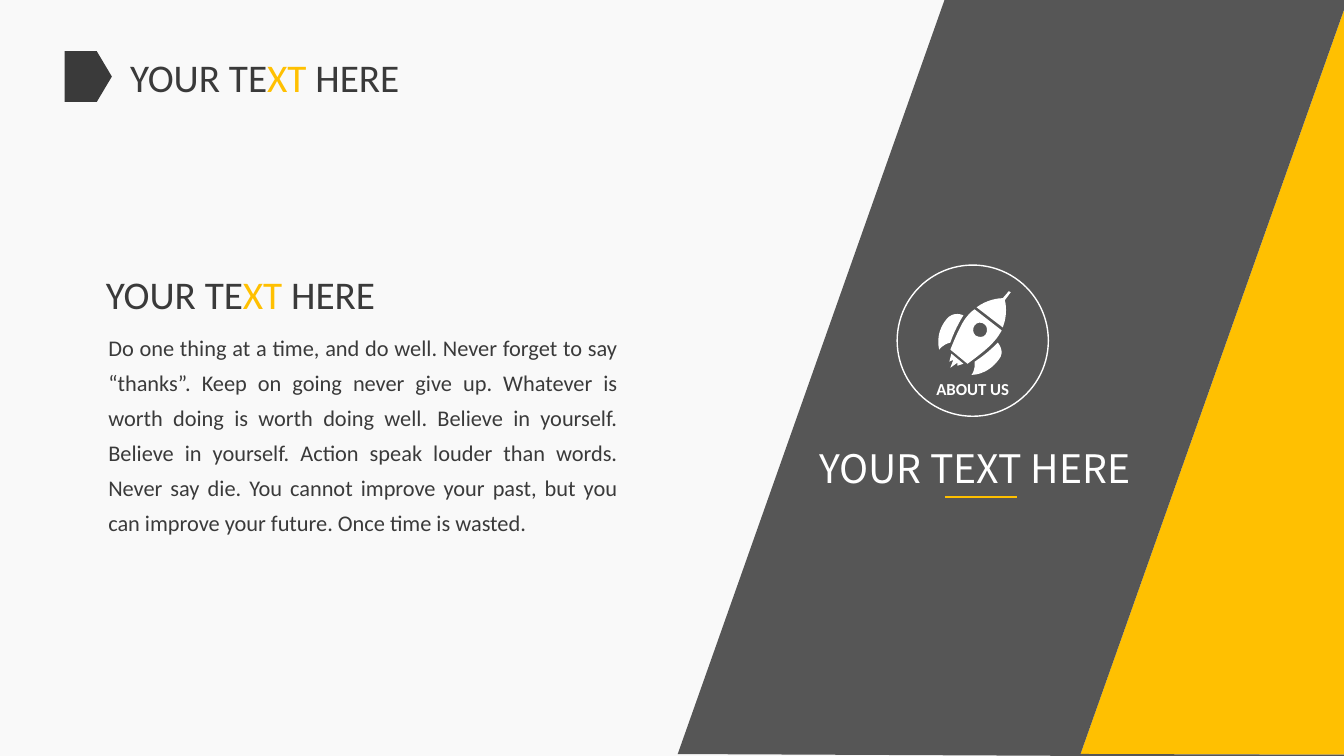
"""Builds an "About us" slide with slanted panels and a rocket badge."""
from math import cos, radians, sin
from lxml.etree import SubElement
from pptx import Presentation
from pptx.dml.color import RGBColor
from pptx.enum.shapes import MSO_CONNECTOR as Connector, MSO_SHAPE as Shape
from pptx.enum.text import MSO_AUTO_SIZE as AutoSize, PP_ALIGN as Align
from pptx.oxml.ns import qn
from pptx.util import Cm, Pt

WIDTH, HEIGHT = 33.87, 19.05
PAPER, GREY, YELLOW, DARK, WHITE = "F9F9F9", "565656", "FFC001", "3A3A3A", "FFFFFF"

SLANT = 19.5
YELLOW_PANEL = [(33.96, 0), (34.06, 0), (34.06, 19.02), (27.23, 19)]
GREY_PANEL = [(23.82, -0.05), (33.96, 0), (27.23, 19), (34.06, 19.02), (34.06, 19.08), (17.08, 19)]

RIGHT_FIN = [(34, 92), (34, 92, 38, 88, 37, 79), (51, 70, 60, 60, 60, 60),
             (60, 60, 68, 69, 61, 77), (49, 93, 34, 92, 34, 92)]
BODY = [(13, 67), (13, 67, 22, 44, 28, 36), (31, 32, 34, 29, 37, 27),
        (64, 48, 64, 48, 64, 48), (62, 51, 60, 55, 57, 58), (51, 66, 30, 81, 30, 81), (13, 67)]
WINDOW = [(47, 42), (44, 39, 39, 40, 37, 43), (35, 46, 35, 50, 38, 53),
          (41, 55, 46, 55, 48, 52), (50, 49, 50, 44, 47, 42)]
NOSE = [(65, 16), (71, 9, 71, 9, 71, 9), (73, 10, 73, 10, 73, 10), (67, 18, 67, 18, 67, 18),
        (68, 21, 70, 32, 65, 45), (39, 25, 39, 25, 39, 25), (50, 17, 61, 16, 65, 16)]
LEFT_FIN = [(2, 67), (2, 67, -3, 52, 9, 37), (16, 28, 26, 33, 26, 33),
            (26, 33, 18, 45, 13, 60), (5, 62, 2, 67, 2, 67)]
FLAME = [(20, 83), (20, 80), (13, 85), (16, 77), (12, 79), (14, 71), (26, 81), (20, 83)]
ROCKET = [RIGHT_FIN, BODY, WINDOW, NOSE, LEFT_FIN, FLAME]

TITLE = [("YOUR TE", DARK), ("XT", YELLOW), (" HERE", DARK)]
STORY = ("Do one thing at a time, and do well. Never forget to say “thanks”. "
         "Keep on going never give up. Whatever is worth doing is worth doing well. "
         "Believe in yourself. Believe in yourself. Action speak louder than words. "
         "Never say die. You cannot improve your past, but you can improve your future. "
         "Once time is wasted.")


def color(code):
    return RGBColor.from_string(code)


def turn(x, y, degrees):
    angle = radians(degrees)
    return x * cos(angle) - y * sin(angle), x * sin(angle) + y * cos(angle)


def bend(shape, segments):
    for node, points in zip(list(shape._element.iter(qn("a:lnTo"))), segments):
        if len(points) == 1:
            continue
        node.tag = qn("a:cubicBezTo")
        node.clear()
        for x, y in points:
            SubElement(node, qn("a:pt"), x=str(round(x - shape.left)), y=str(round(y - shape.top)))


class SlideBuilder:
    def __init__(self, page, font="Calibri"):
        self.page = page
        self.font = font
        page.background.fill.solid()
        page.background.fill.fore_color.rgb = color(PAPER)

    def style(self, shape, fill=None, line=None, weight=1):
        shape.shadow.inherit = False
        if fill:
            shape.fill.solid()
            shape.fill.fore_color.rgb = color(fill)
        else:
            shape.fill.background()
        if line:
            shape.line.color.rgb = color(line)
            shape.line.width = Pt(weight)
        else:
            shape.line.fill.background()

    def shape(self, kind, left, top, width, height, **look):
        shape = self.page.shapes.add_shape(kind, Cm(left), Cm(top), Cm(width), Cm(height))
        self.style(shape, **look)
        return shape

    def outline(self, contours, fill, rotation, left=0, top=0, unit=1):
        builder, segments = None, []
        for contour in contours:
            (start,), *rest = [
                [turn(Cm(left + x * unit), Cm(top + y * unit), -rotation)
                 for x, y in zip(segment[::2], segment[1::2])] for segment in contour]
            if builder is None:
                builder = self.page.shapes.build_freeform(*start)
            else:
                builder.move_to(*start)
            builder.add_line_segments([points[-1] for points in rest], close=True)
            segments += rest
        shape = builder.convert_to_shape()
        bend(shape, segments)
        center = turn(shape.left + shape.width / 2, shape.top + shape.height / 2, rotation)
        shape.left = round(center[0] - shape.width / 2)
        shape.top = round(center[1] - shape.height / 2)
        shape.rotation = rotation
        self.style(shape, fill=fill)

    def line(self, left, top, right, bottom, stroke, weight):
        line = self.page.shapes.add_connector(
            Connector.STRAIGHT, Cm(left), Cm(top), Cm(right), Cm(bottom))
        line.line.color.rgb = color(stroke)
        line.line.width = Pt(weight)
        SubElement(line._element.spPr, qn("a:effectLst"))

    def text(self, spans, left, top, width, height, size=28, align=Align.CENTER,
             font=None, bold=False, spacing=None):
        box = self.page.shapes.add_textbox(Cm(left), Cm(top), Cm(width), Cm(height))
        frame = box.text_frame
        frame.word_wrap = True
        frame.auto_size = AutoSize.SHAPE_TO_FIT_TEXT
        para = frame.paragraphs[0]
        para.alignment = align
        para.line_spacing = spacing
        for words, tint in spans:
            span = para.add_run()
            span.text = words
            span.font.name = font or self.font
            span.font.size = Pt(size)
            span.font.bold = bold
            span.font.color.rgb = color(tint)


def main():
    deck = Presentation()
    deck.slide_width, deck.slide_height = Cm(WIDTH), Cm(HEIGHT)
    slide = SlideBuilder(deck.slides.add_slide(deck.slide_layouts[6]))

    slide.outline([YELLOW_PANEL], YELLOW, SLANT)
    slide.outline([GREY_PANEL], GREY, SLANT)

    slide.shape(Shape.OVAL, 22.61, 6.68, 3.81, 3.81, line=WHITE)
    slide.text([("ABOUT US", WHITE)], 23.23, 9.42, 2.57, 0.76, size=12, bold=True)
    slide.text([("YOUR TEXT HERE", WHITE)], 18.48, 11.07, 12.17, 1.45, font="Noto Sans CJK SC")
    slide.line(23.81, 12.52, 25.63, 12.52, "FFC000", 1.75)

    slide.text([(STORY, DARK)], 2.48, 8.1, 13.34, 5.51, size=16, align=Align.JUSTIFY, spacing=1.3)
    slide.text(TITLE, 1.02, 6.68, 10.08, 1.45)
    slide.outline(ROCKET, WHITE, 37.8, left=23.62, top=7.11, unit=2.54 / 100)

    marker = slide.shape(Shape.PENTAGON, 1.63, 1.29, 1.19, 1.28, fill=DARK)
    marker.adjustments[0] = 0.32
    slide.text(TITLE, 1.63, 1.22, 10.08, 1.45)
    deck.save("out.pptx")


if __name__ == "__main__":
    main()
